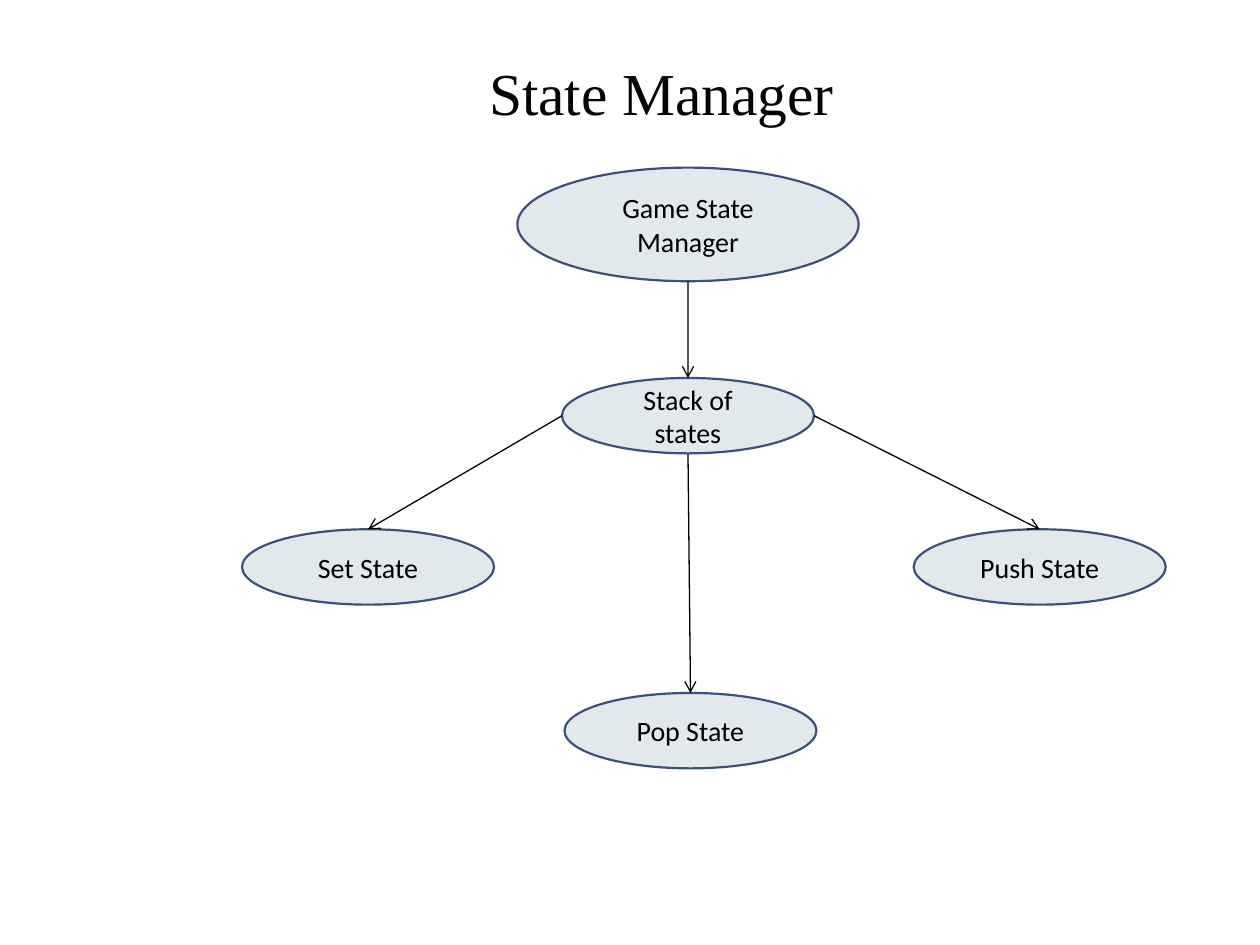
"""Build a state manager diagram slide."""
from lxml import etree
from pptx import Presentation, util as u
from pptx.dml.color import RGBColor
from pptx.enum import shapes, text
from pptx.oxml import ns

INK = RGBColor(0x00, 0x00, 0x00)
TITLE_INK = RGBColor(0x05, 0x05, 0x05)
NODE_FILL = RGBColor(0xE1, 0xE9, 0xEC)
NODE_LINE = RGBColor(0x3E, 0x4F, 0x79)


class Diagram:
    def __init__(self, page):
        self.page = page
        self.title_font = "Times New Roman"
        self.node_font = "Calibri"

    def label(self, frame, words, font, size, color):
        frame.word_wrap = True
        para = frame.paragraphs[0]
        para.alignment = text.PP_ALIGN.CENTER
        span = para.add_run()
        span.text = words
        span.font.name = font
        span.font.size = u.Pt(size)
        span.font.color.rgb = color

    def title(self, words, left, top, width, height):
        box = self.page.shapes.title
        box.left, box.top = u.Cm(left), u.Cm(top)
        box.width, box.height = u.Cm(width), u.Cm(height)
        frame = box.text_frame
        frame.auto_size = text.MSO_AUTO_SIZE.NONE
        frame.vertical_anchor = text.MSO_ANCHOR.TOP
        frame.margin_top = u.Cm(0.28)
        self.label(frame, words, self.title_font, 34, TITLE_INK)

    def node(self, words, center, top, width=5.08, height=1.52):
        oval = self.page.shapes.add_shape(
            shapes.MSO_SHAPE.OVAL, u.Cm(center - width / 2), u.Cm(top),
            u.Cm(width), u.Cm(height))
        oval.shadow.inherit = False
        oval.fill.solid()
        oval.fill.fore_color.rgb = NODE_FILL
        oval.line.color.rgb = NODE_LINE
        oval.line.width = u.Pt(1.25)
        oval.text_frame.vertical_anchor = text.MSO_ANCHOR.MIDDLE
        self.label(oval.text_frame, words, self.node_font, 16, INK)
        return oval

    def arrow(self, source, target, side="bottom"):
        middle = source.top + source.height // 2
        start = {
            "left": (source.left, middle),
            "right": (source.left + source.width, middle),
            "bottom": (source.left + source.width // 2, source.top + source.height),
        }[side]
        link = self.page.shapes.add_connector(
            shapes.MSO_CONNECTOR.STRAIGHT, *start,
            target.left + target.width // 2, target.top)
        link.line.color.rgb = INK
        link.line.width = u.Pt(0.75)
        properties = link._element.spPr
        outline = properties.find(ns.qn("a:ln"))
        etree.SubElement(outline, ns.qn("a:tailEnd"), type="arrow")
        etree.SubElement(properties, ns.qn("a:effectLst"))


def main():
    deck = Presentation()
    deck.slide_width, deck.slide_height = u.Cm(25.4), u.Cm(19.05)
    diagram = Diagram(deck.slides.add_slide(deck.slide_layouts[5]))
    diagram.title("State Manager", 1.27, 0.84, 24.13, 3.18)

    stack = diagram.node("Stack of states", 13.87, 7.62)
    manager = diagram.node("Game State Manager", 13.87, 3.38, 6.88, 2.29)
    set_state = diagram.node("Set State", 7.42, 10.67)
    pop_state = diagram.node("Pop State", 13.92, 13.97)
    push_state = diagram.node("Push State", 20.96, 10.67)

    diagram.arrow(manager, stack)
    diagram.arrow(stack, set_state, "left")
    diagram.arrow(stack, pop_state)
    diagram.arrow(stack, push_state, "right")
    deck.save("out.pptx")


if __name__ == "__main__":
    main()
